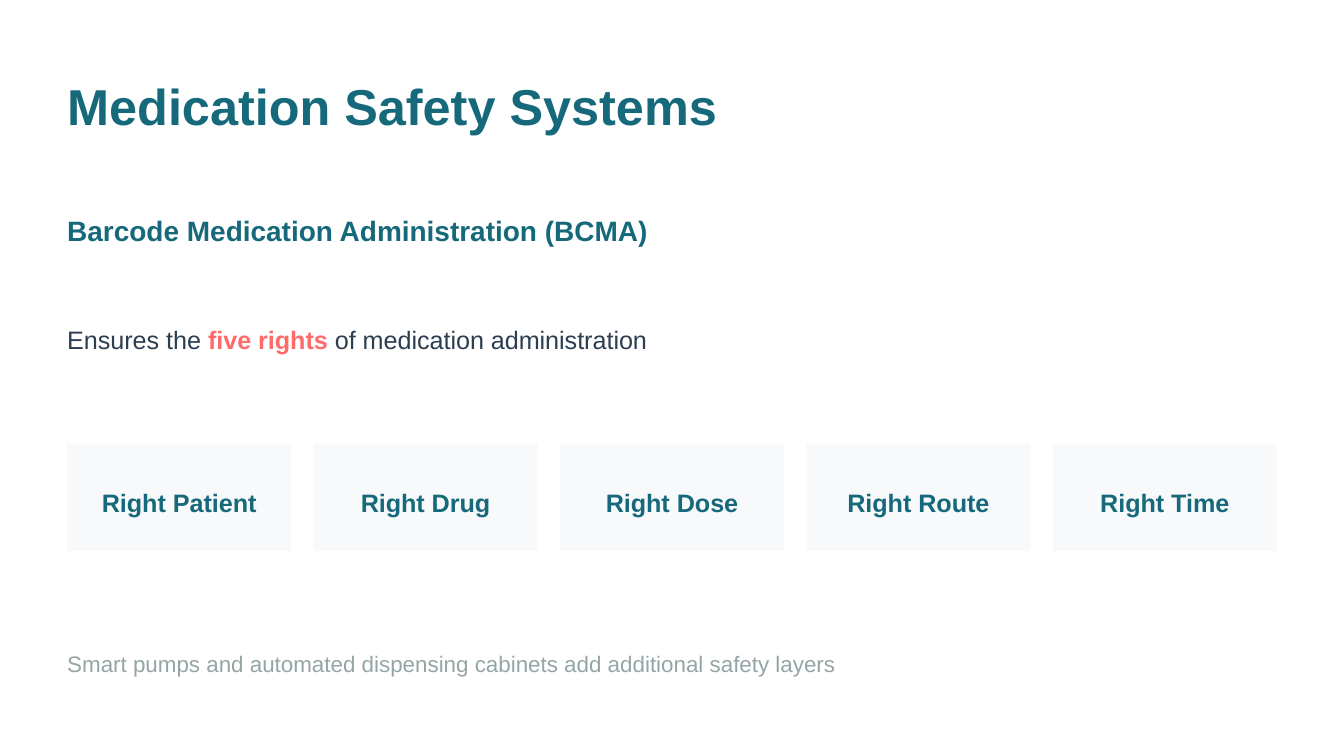
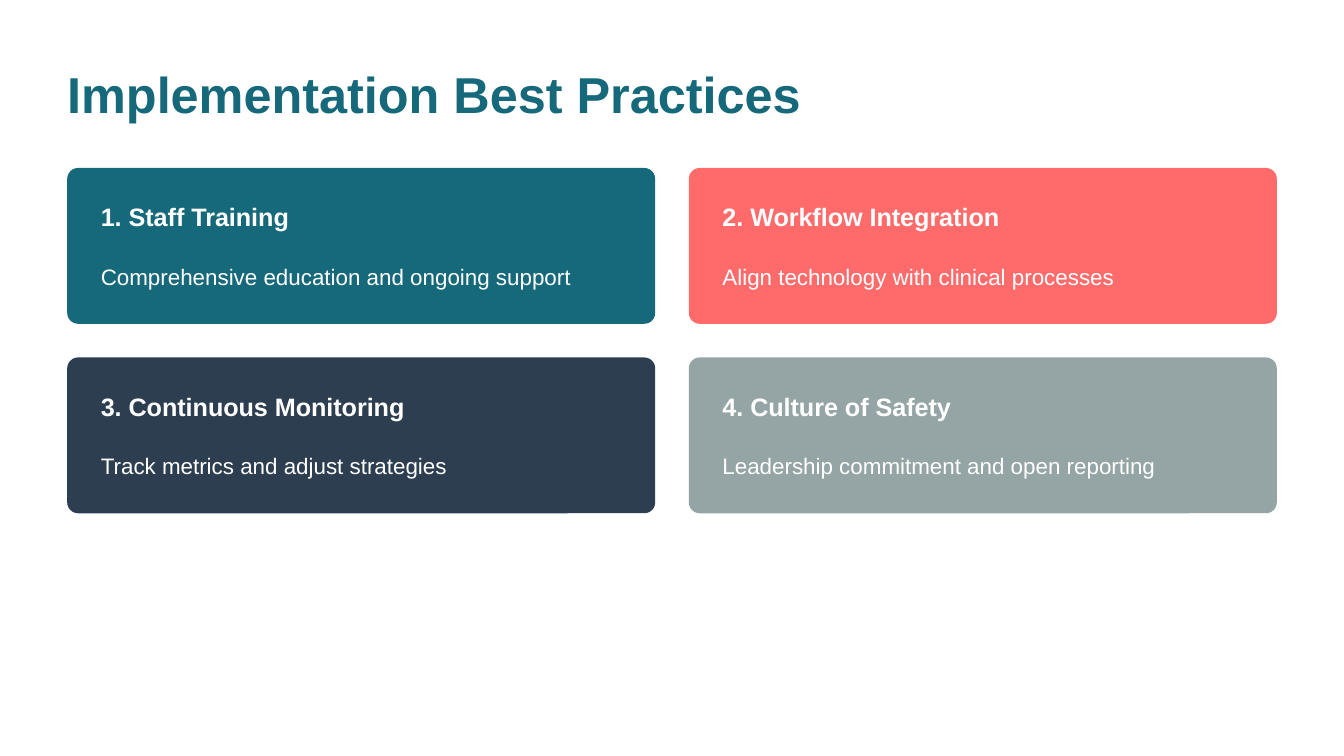
from dataclasses import dataclass

from pptx import Presentation
from pptx.dml.color import RGBColor
from pptx.enum.shapes import MSO_SHAPE as Shape
from pptx.enum.text import MSO_ANCHOR as Anchor, MSO_AUTO_SIZE as AutoSize, PP_ALIGN as Align
from pptx.util import Inches, Pt

TEAL = RGBColor(0x16, 0x69, 0x7A)
CORAL = RGBColor(0xFF, 0x6B, 0x6B)
NAVY = RGBColor(0x2C, 0x3E, 0x50)
GRAY = RGBColor(0x95, 0xA5, 0xA6)
PALE = RGBColor(0xF8, 0xF9, 0xFA)
WHITE = RGBColor(0xFF, 0xFF, 0xFF)

FONT = "Arial"
COLUMNS, ROWS = 100, 56.25
GRID_STEP = Inches(0.1)
TITLE_ONLY = 5

RIGHTS = ["Right Patient", "Right Drug", "Right Dose", "Right Route", "Right Time"]
PRACTICES = [
    ("1. Staff Training", "Comprehensive education and ongoing support", TEAL),
    ("2. Workflow Integration", "Align technology with clinical processes", CORAL),
    ("3. Continuous Monitoring", "Track metrics and adjust strategies", NAVY),
    ("4. Culture of Safety", "Leadership commitment and open reporting", GRAY),
]


@dataclass
class Box:
    left: float
    top: float
    width: float
    height: float

    def area(self, left, top, width, height):
        return Box(self.left + left, self.top + top, width, height)

    def cells(self, columns, rows, gap):
        width = (self.width - gap * (columns - 1)) / columns
        height = (self.height - gap * (rows - 1)) / rows
        return [
            self.area(column * (width + gap), row * (height + gap), width, height)
            for row in range(rows)
            for column in range(columns)
        ]

    def lengths(self):
        return [round(value * GRID_STEP) for value in (self.left, self.top, self.width, self.height)]


PAGE = Box(0, 0, COLUMNS, ROWS)


def write(shape, runs, size, line, align=Align.LEFT, before=None):
    frame = shape.text_frame
    frame.word_wrap = True
    frame.auto_size = AutoSize.NONE
    frame.vertical_anchor = Anchor.TOP
    frame.margin_left = frame.margin_top = frame.margin_right = frame.margin_bottom = 0
    paragraph = frame.paragraphs[0]
    paragraph.alignment = align
    paragraph.line_spacing = Pt(line)
    if before is not None:
        paragraph.space_before = Pt(before)
    for text, color, bold in runs:
        run = paragraph.add_run()
        run.text = text
        run.font.name = FONT
        run.font.size = Pt(size)
        run.font.bold = bold
        run.font.color.rgb = color


def add_text(slide, box, runs, size, line, **options):
    write(slide.shapes.add_textbox(*box.lengths()), runs, size, line, **options)


def add_panel(slide, box, kind, color):
    panel = slide.shapes.add_shape(kind, *box.lengths())
    panel.shadow.inherit = False
    panel.fill.solid()
    panel.fill.fore_color.rgb = color
    panel.line.fill.background()
    return panel


def add_titled_slide(presentation, text, box):
    slide = presentation.slides.add_slide(presentation.slide_layouts[TITLE_ONLY])
    slide.background.fill.solid()
    slide.background.fill.fore_color.rgb = WHITE
    title = slide.shapes.title
    title.left, title.top, title.width, title.height = box.lengths()
    write(title, [(text, TEAL, True)], 27, 30, before=0)
    return slide


def add_rights(slide, box):
    for label, cell in zip(RIGHTS, box.cells(len(RIGHTS), 1, 1.67)):
        add_panel(slide, cell, Shape.RECTANGLE, PALE)
        label_box = cell.area(2.4, 2.5, cell.width - 4.8, 3)
        add_text(slide, label_box, [(label, TEAL, True)], 13.5, 21.6, align=Align.CENTER)


def add_practices(slide, box):
    for (heading, detail, color), cell in zip(PRACTICES, box.cells(2, 2, 2.5)):
        panel = add_panel(slide, cell, Shape.ROUNDED_RECTANGLE, color)
        panel.adjustments[0] = 0.07
        add_text(slide, cell.area(2.5, 2.5, 39.5, 2.2), [(heading, WHITE, True)], 13.5, 16.2)
        add_text(slide, cell.area(2.5, 6.4, 39.5, 2.7), [(detail, WHITE, False)], 12, 19.2, before=12)


def build_safety_slide(presentation, page):
    slide = add_titled_slide(presentation, "Medication Safety Systems", page.area(5, 5.9, 49.4, 4.2))
    subtitle = [("Barcode Medication Administration (BCMA)", TEAL, True)]
    add_text(slide, page.area(5, 15.9, 91.8, 2.5), subtitle, 15, 18)
    summary = [
        ("Ensures the ", NAVY, False),
        ("five rights", CORAL, True),
        (" of medication administration", NAVY, False),
    ]
    add_text(slide, page.area(5, 23.4, 91.8, 3), summary, 13.5, 21.6)
    add_rights(slide, page.area(5, 33, 90, 8))
    note = [("Smart pumps and automated dispensing cabinets add additional safety layers", GRAY, False)]
    add_text(slide, page.area(5, 47.7, 91.8, 2.7), note, 12, 19.2)


def build_practices_slide(presentation, page):
    slide = add_titled_slide(presentation, "Implementation Best Practices", page.area(5, 5, 55.8, 4.2))
    add_practices(slide, page.area(5, 12.5, 90, 25.7))


def main():
    presentation = Presentation()
    presentation.slide_width = round(COLUMNS * GRID_STEP)
    presentation.slide_height = round(ROWS * GRID_STEP)
    build_safety_slide(presentation, PAGE)
    build_practices_slide(presentation, PAGE)
    presentation.save("out.pptx")


if __name__ == "__main__":
    main()
